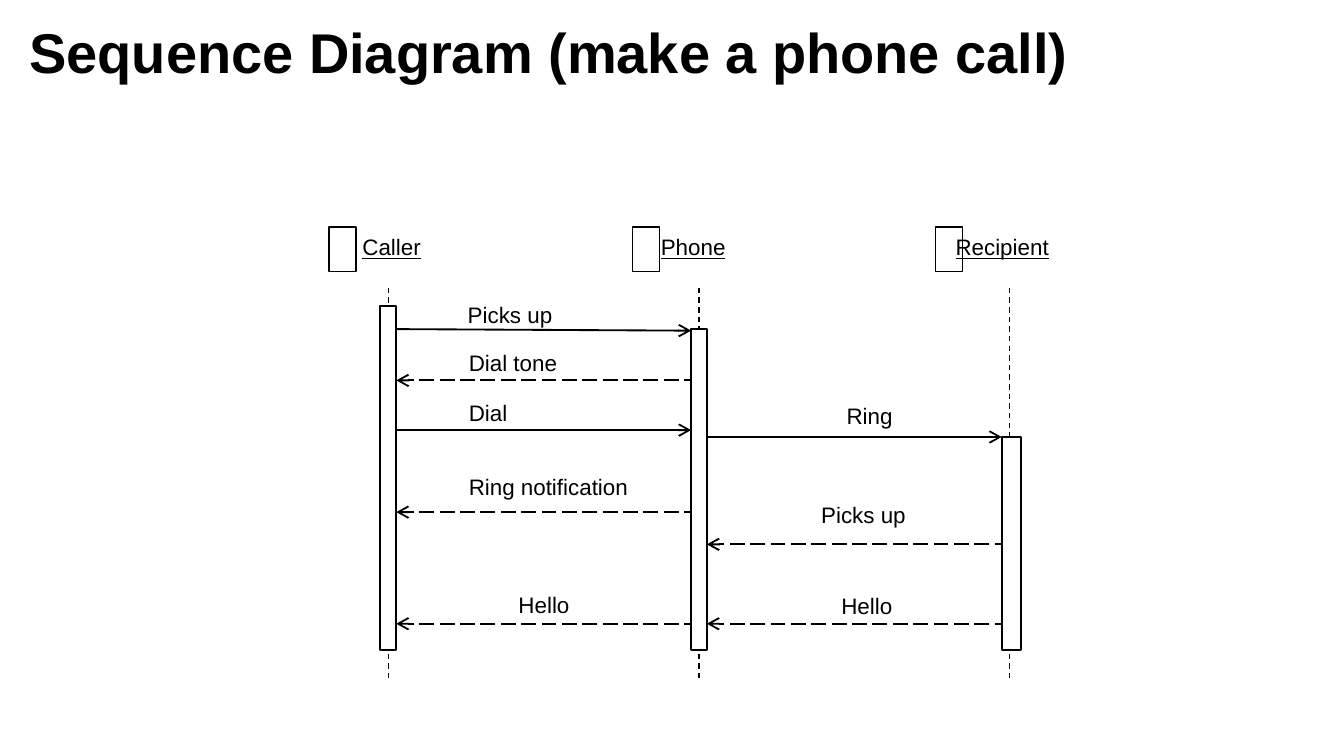
from lxml import etree
from pptx import Presentation
from pptx.dml.color import RGBColor
from pptx.enum.dml import MSO_LINE
from pptx.enum.shapes import MSO_CONNECTOR, MSO_SHAPE
from pptx.enum.text import MSO_ANCHOR, MSO_AUTO_SIZE, PP_ALIGN
from pptx.oxml.ns import qn
from pptx.util import Cm, Pt

RECT = MSO_SHAPE.RECTANGLE
LINE = MSO_CONNECTOR.STRAIGHT
DASH, LONG = MSO_LINE.DASH, MSO_LINE.LONG_DASH
MIDDLE, LEFT = MSO_ANCHOR.MIDDLE, PP_ALIGN.LEFT
FIT, FIXED = MSO_AUTO_SIZE.SHAPE_TO_FIT_TEXT, MSO_AUTO_SIZE.NONE

COLORS = {"ink": "000000", "paper": "FFFFFF"}
FONT = "Arial"
TITLE = "Sequence Diagram (make a phone call)"

# Name, lifeline x, head x, label x, label width, bar top, bar width
ACTORS = [
    ("Caller", 7.34, 6.22, 6.6, 1.63, 5.79, 0.3),
    ("Phone", 13.21, 11.96, 12.24, 1.75, 6.22, 0.3),
    ("Recipient", 19.08, 17.68, 17.81, 2.29, 8.26, 0.36),
]
# Text, sender, receiver, start y, end y, label x, label y, label width
CALLS = [
    ("Picks up", 0, 1, 6.22, 6.25, 8.59, 5.56, 2.13),
    ("Dial tone", 1, 0, 7.19, 7.19, 8.61, 6.48, 2.18),
    ("Dial", 0, 1, 8.13, 8.13, 8.61, 7.42, 1.24),
    ("Ring notification", 1, 0, 9.68, 9.68, 8.61, 8.81, 3.53),
    ("Ring", 1, 2, 8.26, 8.26, 15.75, 7.47, 1.4),
    ("Picks up", 2, 1, 10.29, 10.29, 15.27, 9.35, 2.13),
    ("Hello", 1, 0, 11.79, 11.79, 9.55, 11.05, 1.47),
    ("Hello", 2, 1, 11.79, 11.79, 15.65, 11.07, 1.47),
]
HEAD_TOP, HEAD_W, HEAD_H = 4.29, 0.51, 0.84
LIFE_TOP, LIFE_END, BAR_END = 5.44, 12.9, 12.29
LABEL_H, HALF = 0.76, 0.15


def color(name):
    return RGBColor.from_string(COLORS[name])


def write(frame, text, size=12, bold=False, under=False):
    para = frame.paragraphs[0]
    para.alignment = LEFT
    run = para.add_run()
    run.text = text
    font = run.font
    font.name, font.size = FONT, Pt(size)
    font.bold, font.underline = bold, under
    font.color.rgb = color("ink")


def label(text, x, y, width, under=False):
    box = slide.shapes.add_textbox(Cm(x), Cm(y), Cm(width), Cm(LABEL_H))
    frame = box.text_frame
    frame.word_wrap = False
    frame.auto_size = FIT
    write(frame, text, under=under)


def rect(x, y, width, height, fill=None, weight=1):
    box = slide.shapes.add_shape(RECT, Cm(x), Cm(y), Cm(width), Cm(height))
    box.shadow.inherit = False
    if fill:
        box.fill.solid()
        box.fill.fore_color.rgb = color(fill)
    else:
        box.fill.background()
    box.line.color.rgb = color("ink")
    box.line.width = Pt(weight)


def link(x1, y1, x2, y2, weight=1, dash=None, arrow=False):
    wire = slide.shapes.add_connector(LINE, Cm(x1), Cm(y1), Cm(x2), Cm(y2))
    wire.line.color.rgb = color("ink")
    wire.line.width = Pt(weight)
    if dash:
        wire.line.dash_style = dash
    props = wire._element.spPr
    if arrow:
        etree.SubElement(props.find(qn("a:ln")), qn("a:tailEnd"), type="arrow")
    etree.SubElement(props, qn("a:effectLst"))


deck = Presentation()
deck.slide_width, deck.slide_height = Cm(25.4), Cm(14.29)
slide = deck.slides.add_slide(deck.slide_layouts[5])

# Title
title = slide.shapes.title
title.left, title.top, title.width, title.height = (
    Cm(0.3), Cm(0.18), Cm(22.86), Cm(1.57))
title.text_frame.auto_size = FIXED
title.text_frame.vertical_anchor = MIDDLE
write(title.text_frame, TITLE, size=30, bold=True)

# Heads and lifelines
for name, life, head, left, width, top, thick in ACTORS:
    rect(head, HEAD_TOP, HEAD_W, HEAD_H, weight=0.75)
    label(name, left, HEAD_TOP, width, under=True)
    link(life, LIFE_TOP, life, LIFE_END, weight=0.75, dash=DASH)

# Messages run from the sender's lifeline to the near edge of the receiver's bar
for text, source, target, y1, y2, left, top, width in CALLS:
    back = target < source
    end = ACTORS[target][1] + (HALF if back else -HALF)
    link(ACTORS[source][1], y1, end, y2, dash=LONG if back else None, arrow=True)
    label(text, left, top, width)

# Activation bars cover the line starts
for name, life, head, left, width, top, thick in ACTORS:
    rect(life - HALF, top, thick, BAR_END - top, fill="paper")

deck.save("out.pptx")
